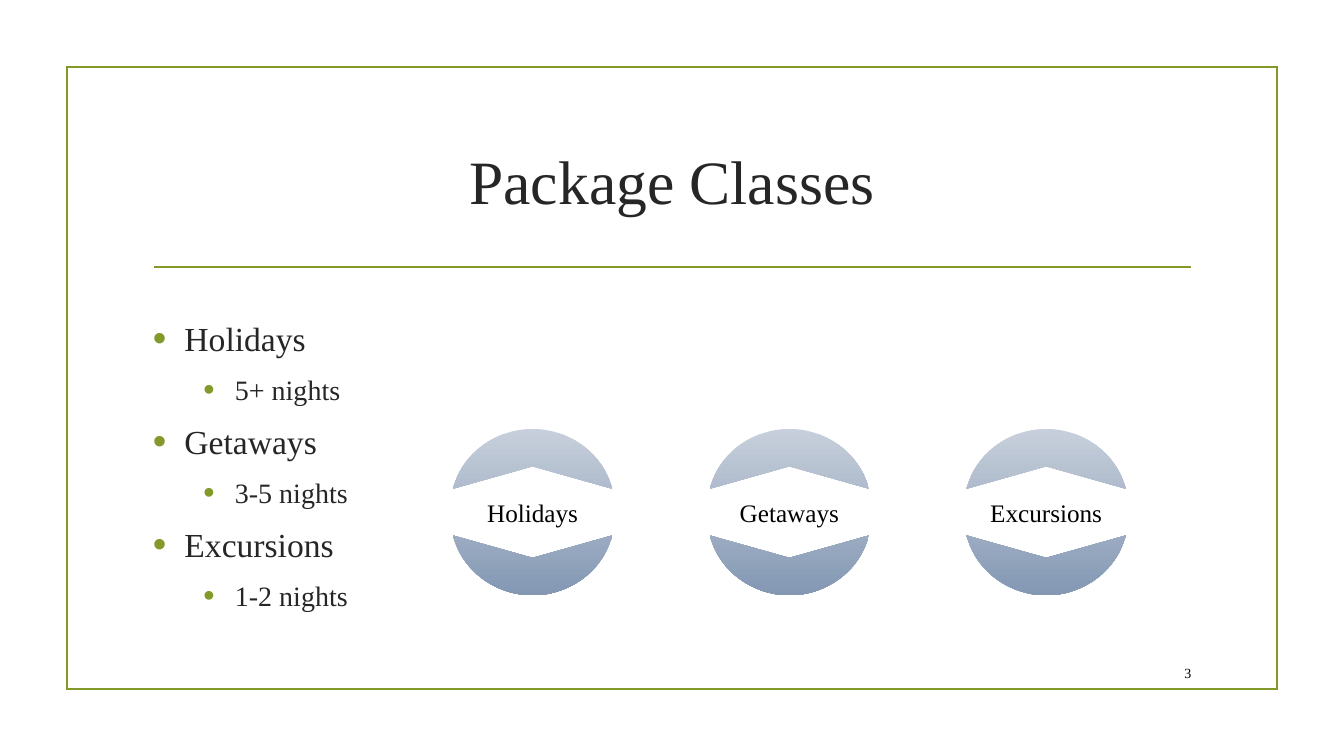
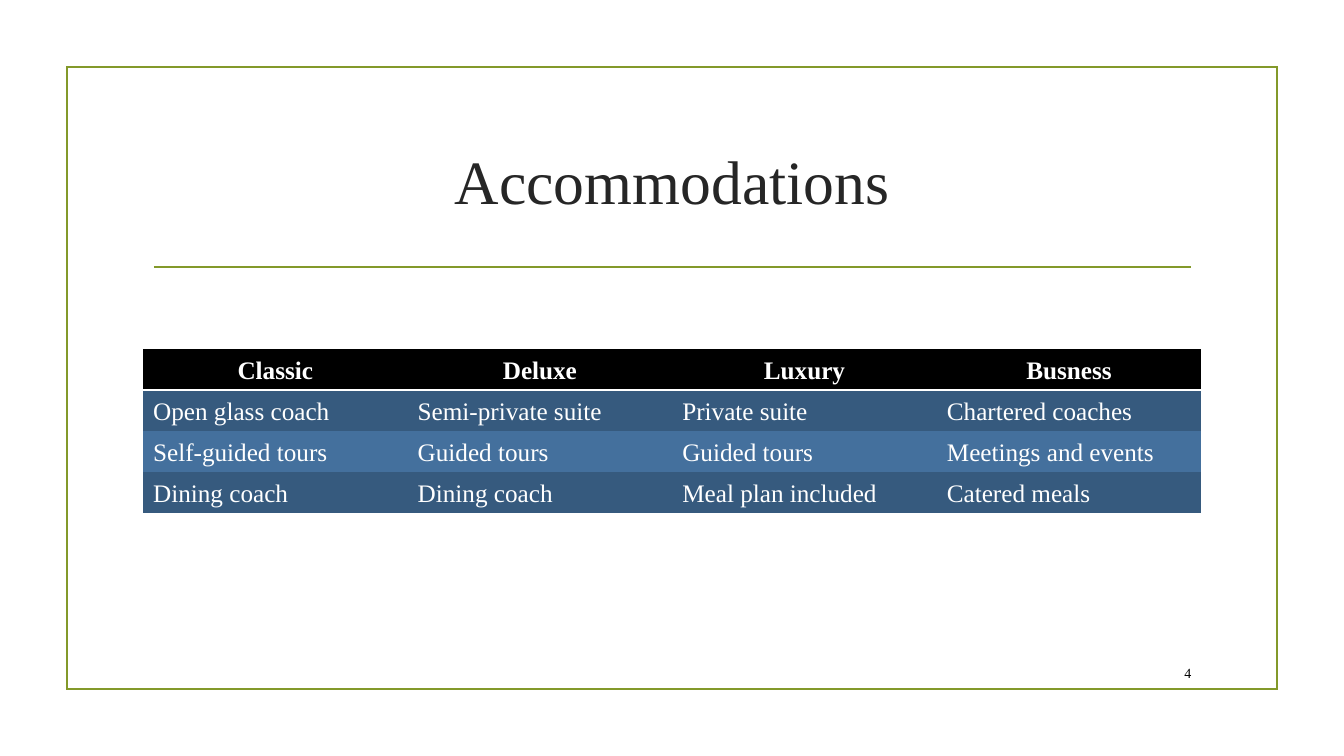
from dataclasses import dataclass

from lxml.etree import SubElement
from pptx import Presentation
from pptx.dml.color import RGBColor as Rgb
from pptx.enum.shapes import MSO_CONNECTOR as Connector, MSO_SHAPE as Preset
from pptx.enum.text import MSO_ANCHOR as Anchor, PP_ALIGN as Align
from pptx.oxml.ns import qn
from pptx.util import Pt


@dataclass(frozen=True)
class Theme:
    """Colours, font and type sizes of the deck."""
    font: str = "Times New Roman"
    accent: Rgb = Rgb(0x83, 0x99, 0x2A)
    ink: Rgb = Rgb(0x26, 0x26, 0x26)
    black: Rgb = Rgb(0, 0, 0)
    white: Rgb = Rgb(255, 255, 255)
    disc_top: Rgb = Rgb(0xC7, 0xCF, 0xDB)
    disc_bottom: Rgb = Rgb(0x84, 0x98, 0xB4)
    bands: tuple = (Rgb(0x36, 0x5A, 0x7E), Rgb(0x44, 0x70, 0x9D))
    title_size: int = 44
    class_size: int = 24
    nights_size: int = 20
    label_size: int = 18
    number_size: int = 10
    line_width: float = 1.25


@dataclass(frozen=True)
class Box:
    """A rectangle in points."""
    left: float
    top: float
    width: float
    height: float

    @property
    def lengths(self):
        """Return left, top, width and height as lengths."""
        return Pt(self.left), Pt(self.top), Pt(self.width), Pt(self.height)


THEME = Theme()
SLIDE = Box(0, 0, 960, 540)
FRAME = Box(48, 48, 864, 444)
TITLE = Box(102.2, 77, 756, 103)
RULE = Box(110, 190.8, 741, 0)
NUMBER = Box(816, 470, 42, 22)
CLASS_LIST = Box(102.2, 201.6, 210, 261.4)
DISCS = Box(323.4, 306.4, 480.9, 118.8)
TABLE = Box(102.2, 249.2, 756, 117.2)
NO_STYLE = "{2D5ABB26-0587-4C30-8999-92F81FD0307C}"

EDGE = (0.96, 0.28)
SHOULDER = (0.92, 0.39)
HALF_ARC = ((0.78, 0.75), (0.41, 1))
CHEVRON_TIP = (0, 0.55)

PACKAGES = [("Holidays", "5+ nights"), ("Getaways", "3-5 nights"), ("Excursions", "1-2 nights")]
ACCOMMODATIONS = [
    ("Classic", "Deluxe", "Luxury", "Busness"),
    ("Open glass coach", "Semi-private suite", "Private suite", "Chartered coaches"),
    ("Self-guided tours", "Guided tours", "Guided tours", "Meetings and events"),
    ("Dining coach", "Dining coach", "Meal plan included", "Catered meals"),
]


def style(paragraph, size, color, align=Align.LEFT, bold=False):
    """Format a whole paragraph."""
    paragraph.alignment = align
    font = paragraph.font
    font.name, font.size, font.bold = THEME.font, Pt(size), bold
    font.color.rgb = color


def add_text_area(slide, box):
    """Add a wrapping, vertically centred text area."""
    area = slide.shapes.add_textbox(*box.lengths).text_frame
    area.word_wrap = True
    area.vertical_anchor = Anchor.MIDDLE
    return area


def outline(line):
    """Give a line the accent stroke with sharp corners."""
    line.color.rgb = THEME.accent
    line.width = Pt(THEME.line_width)
    SubElement(line._get_or_add_ln(), qn("a:miter"), lim="800000")


def add_titled_slide(deck, heading, number):
    """Add a slide with frame, rule, title and page number."""
    slide = deck.slides.add_slide(deck.slide_layouts[5])
    frame = slide.shapes.add_shape(Preset.RECTANGLE, *FRAME.lengths)
    frame.shadow.inherit = False
    frame.fill.background()
    outline(frame.line)

    left, top, width, height = RULE.lengths
    rule = slide.shapes.add_connector(Connector.STRAIGHT, left, top, left + width, top + height)
    outline(rule.line)
    SubElement(rule._element.spPr, qn("a:effectLst"))

    title = slide.shapes.title
    title.left, title.top, title.width, title.height = TITLE.lengths
    title.text_frame.text = heading
    title.text_frame.vertical_anchor = Anchor.MIDDLE
    style(title.text_frame.paragraphs[0], THEME.title_size, THEME.ink, Align.CENTER)

    page = add_text_area(slide, NUMBER)
    page.text = str(number)
    style(page.paragraphs[0], THEME.number_size, THEME.black, Align.RIGHT)
    return slide


def add_bullet(paragraph, indent):
    """Give a paragraph a hanging accent bullet."""
    properties = paragraph._p.get_or_add_pPr()
    properties.set("marL", str(Pt(indent)))
    properties.set("indent", str(-Pt(22.5)))
    color = SubElement(properties, qn("a:buClr"))
    SubElement(color, qn("a:srgbClr"), val=str(THEME.accent))
    SubElement(properties, qn("a:buSzPct"), val="115000")
    SubElement(properties, qn("a:buFont"), typeface="Arial")
    SubElement(properties, qn("a:buChar"), char="•")


def add_class_list(slide, box, packages):
    """List each package class with its length of stay."""
    area = add_text_area(slide, box)
    levels = ((22.5, THEME.class_size), (58.5, THEME.nights_size))
    entries = [(level, text) for package in packages for level, text in enumerate(package)]
    for index, (level, text) in enumerate(entries):
        indent, size = levels[level]
        entry = area.add_paragraph() if index else area.paragraphs[0]
        entry.text, entry.level = text, level
        if index:
            entry.space_before = Pt(0.2 * size)
        entry.space_after = Pt(6)
        add_bullet(entry, indent)
        style(entry, size, THEME.ink)


def cap_points(center_x, center_y, radius, side):
    """Return a cap's edge, arc handles and tip; side is -1 for top, 1 for bottom."""
    right = [EDGE, SHOULDER, *HALF_ARC]
    left = [(-x, y) for x, y in reversed(right)]
    points = [*right, (0, 1), *left, CHEVRON_TIP]
    return [(Pt(center_x + radius * x), Pt(center_y + side * radius * y)) for x, y in points]


def round_caps(disc):
    """Turn the arc handles of both caps into curves."""
    segments = list(disc._element.iter(qn("a:lnTo")))
    cap_length = len(segments) // 2
    for cap_start in (0, cap_length):
        for curve_start in (cap_start + 1, cap_start + 4):
            handles = segments[curve_start:curve_start + 3]
            curve = handles[0].getparent().makeelement(qn("a:cubicBezTo"))
            handles[0].addprevious(curve)
            for handle in handles:
                curve.append(handle[0])
                handle.getparent().remove(handle)


def add_disc(slide, center_x, center_y, radius, label):
    """Draw a split disc with its label between the caps."""
    bottom, top = (cap_points(center_x, center_y, radius, side) for side in (1, -1))
    builder = slide.shapes.build_freeform(*bottom[0])
    builder.add_line_segments(bottom[1:])
    builder.move_to(*top[0])
    builder.add_line_segments(top[1:])
    disc = builder.convert_to_shape()
    round_caps(disc)
    disc.shadow.inherit = False
    disc.line.fill.background()
    disc.fill.gradient()
    disc.fill.gradient_angle = 270
    for stop, position, color in zip(disc.fill.gradient_stops, (0, 1), (THEME.disc_top, THEME.disc_bottom)):
        stop.position = position
        stop.color.rgb = color
    area = disc.text_frame
    area.margin_left = area.margin_right = area.margin_top = area.margin_bottom = 0
    area.vertical_anchor = Anchor.MIDDLE
    area.text = label
    style(area.paragraphs[0], THEME.label_size, THEME.black, Align.CENTER)


def add_disc_row(slide, box, labels):
    """Spread one disc per label evenly over a box."""
    radius = box.height / 2
    half_width = radius * EDGE[0]
    pitch = (box.width - 2 * half_width) / (len(labels) - 1)
    for index, label in enumerate(labels):
        add_disc(slide, box.left + half_width + index * pitch, box.top + radius, radius, label)


def add_bottom_border(cell):
    """Draw the white line below a heading cell."""
    border = SubElement(cell._tc.get_or_add_tcPr(), qn("a:lnB"), w=str(Pt(2)))
    fill = SubElement(border, qn("a:solidFill"))
    SubElement(fill, qn("a:srgbClr"), val=str(THEME.white))


def add_accommodation_table(slide, box, rows):
    """Fill a banded table with a black heading row."""
    table = slide.shapes.add_table(len(rows), len(rows[0]), *box.lengths).table
    table._tbl.tblPr.find(qn("a:tableStyleId")).text = NO_STYLE
    table.horz_banding = False
    for row_index, row in enumerate(rows):
        heading = row_index == 0
        for column_index, text in enumerate(row):
            cell = table.cell(row_index, column_index)
            cell.text = text
            cell.vertical_anchor = Anchor.BOTTOM
            if heading:
                add_bottom_border(cell)
            cell.fill.solid()
            cell.fill.fore_color.rgb = THEME.black if heading else THEME.bands[(row_index - 1) % 2]
            align = Align.CENTER if heading else Align.LEFT
            style(cell.text_frame.paragraphs[0], THEME.label_size, THEME.white, align, heading)


def main():
    """Build and save the deck."""
    deck = Presentation()
    deck.slide_width, deck.slide_height = Pt(SLIDE.width), Pt(SLIDE.height)

    classes = add_titled_slide(deck, "Package Classes", 3)
    add_class_list(classes, CLASS_LIST, PACKAGES)
    add_disc_row(classes, DISCS, [name for name, _ in PACKAGES])

    accommodations = add_titled_slide(deck, "Accommodations", 4)
    add_accommodation_table(accommodations, TABLE, ACCOMMODATIONS)

    deck.save("out.pptx")


if __name__ == "__main__":
    main()
